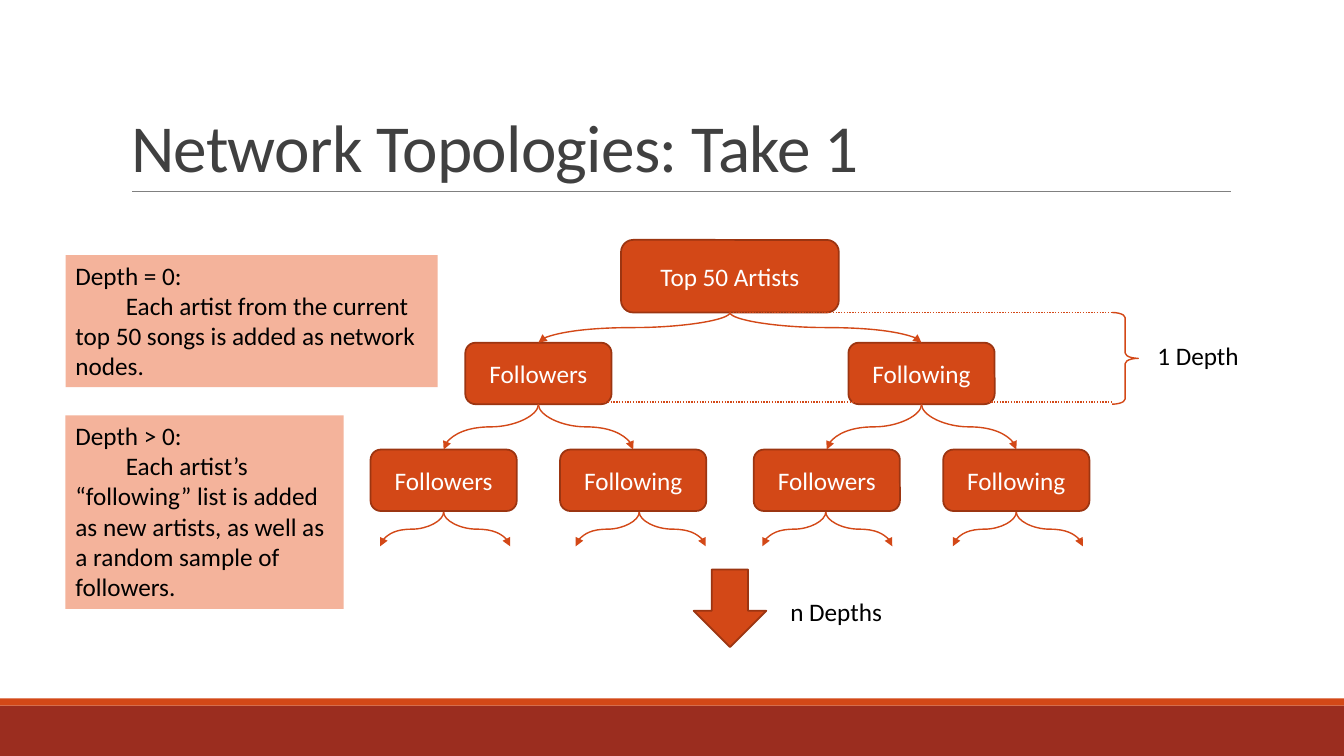
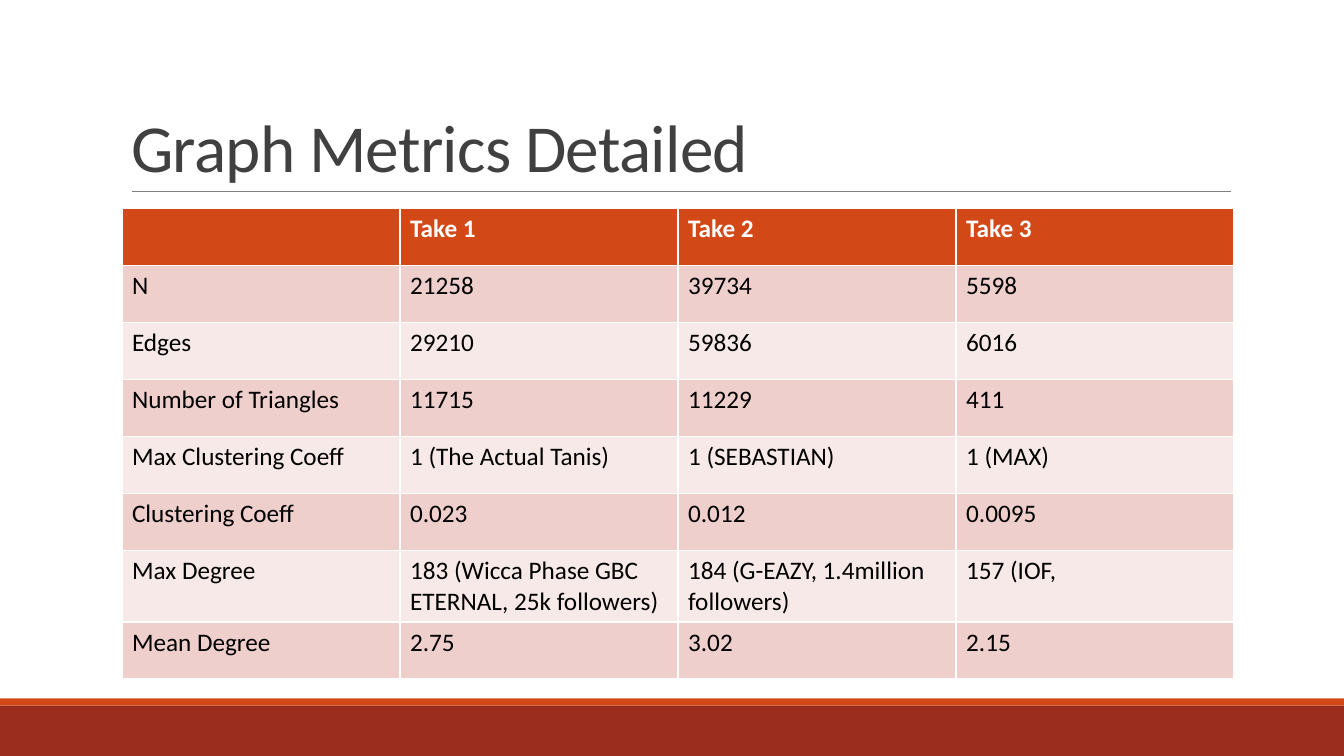
"""Build two slides on network topologies: a depth tree and a table of graph metrics."""
import pptx
import pptx.dml.color
import pptx.enum.dml
import pptx.enum.shapes
import pptx.enum.text
import pptx.oxml
import pptx.oxml.ns
import pptx.util

RGB = pptx.dml.color.RGBColor
SHAPE = pptx.enum.shapes.MSO_SHAPE
CONNECTOR = pptx.enum.shapes.MSO_CONNECTOR
ALIGN = pptx.enum.text.PP_ALIGN
ANCHOR = pptx.enum.text.MSO_ANCHOR
AUTO_SIZE = pptx.enum.text.MSO_AUTO_SIZE
DOTTED = pptx.enum.dml.MSO_LINE.ROUND_DOT
Pt = pptx.util.Pt

PX = 9144
WIDTH, HEIGHT = 1333, 750
FONT = "Calibri"

ORANGE = RGB(0xD3, 0x48, 0x17)
RUST = RGB(0x9C, 0x35, 0x11)
BRICK = RGB(0x9B, 0x2D, 0x1F)
PEACH = RGB(0xF4, 0xB3, 0x9B)
ROW_DARK = RGB(0xEF, 0xCF, 0xCC)
ROW_LIGHT = RGB(0xF7, 0xE9, 0xE8)
GRAY = RGB(0x80, 0x80, 0x80)
CHARCOAL = RGB(0x40, 0x40, 0x40)
BLACK = RGB(0, 0, 0)
WHITE = RGB(255, 255, 255)

TITLE_AREA = (120, 31, 1100, 159)
BANDS = [((0, 700, WIDTH, 50), BRICK), ((0, 693, WIDTH, 7), ORANGE)]
TITLE_RULE = (131, 190, 1221, 190)

ROOT = ("Top 50 Artists", 724, 238, 216, 72)
BRANCHES = [("Followers", -1), ("Following", 1)]
NODE_WIDTH, NODE_HEIGHT = 145, 61
LEVELS = [(340, 190), (446, 94)]
STUB_STARTS = [440, 634, 819, 1008]
STUB_TOP, STUB_BOTTOM = 508, 542
STUB_REACH = (-63, 66)

BRACE = (1103, 310, 26, 91)
DEPTH_LINES = [(724, 310, 1103, 310), (534, 399, 1103, 399)]
DOWN_ARROW = (688, 565, 72, 77)
LABELS = [("1 Depth", (1138, 333, 135, 40)), ("n Depths", (774, 587, 135, 40))]
NOTE_INDENT = 50
NOTES = [
    ((65, 253, 369, 131), "Depth = 0:",
     "Each artist from the current top 50 songs is added as network nodes."),
    ((65, 412, 276, 192), "Depth > 0:",
     "Each artist’s “following” list is added as new artists, "
     "as well as a random sample of followers."),
]

TABLE_AREA = (121, 207, 1103, 452)
METRICS = [
    ("", "Take 1", "Take 2", "Take 3"),
    ("N", "21258", "39734", "5598"),
    ("Edges", "29210", "59836", "6016"),
    ("Number of Triangles", "11715", "11229", "411"),
    ("Max Clustering Coeff", "1 (The Actual Tanis)", "1 (SEBASTIAN)", "1 (MAX)"),
    ("Clustering Coeff", "0.023", "0.012", "0.0095"),
    ("Max Degree", "183 (Wicca Phase GBC ETERNAL, 25k followers)",
     "184 (G-EAZY, 1.4million followers)", "157 (IOF,"),
    ("Mean Degree", "2.75", "3.02", "2.15"),
]


def scale(lengths):
    return [round(length * PX) for length in lengths]


def set_all(target, **values):
    for name, value in values.items():
        setattr(target, name, value)


def write(para, text, color=BLACK, size=18, bold=False):
    span = para.add_run()
    span.text = text
    set_all(span.font, name=FONT, size=Pt(size), bold=bold)
    span.font.color.rgb = color
    return span


def add_shape(page, kind, area, fill=None, line=None, weight=1.25):
    shape = page.shapes.add_shape(kind, *scale(area))
    shape.shadow.inherit = False
    if fill is None:
        shape.fill.background()
    else:
        shape.fill.solid()
        shape.fill.fore_color.rgb = fill
    if line is None:
        shape.line.fill.background()
    else:
        shape.line.color.rgb = line
        shape.line.width = Pt(weight)
    return shape


def add_line(page, ends, color=ORANGE, weight=1, dash=None, kind=CONNECTOR.STRAIGHT):
    line = page.shapes.add_connector(kind, *scale(ends))
    line.line.color.rgb = color
    set_all(line.line, width=Pt(weight), dash_style=dash)
    pptx.oxml.ns.qn("a:effectLst")
    line._element.spPr.append(line._element.makeelement(pptx.oxml.ns.qn("a:effectLst"), {}))
    return line


def add_curve(page, left, top, right, bottom):
    """Draw an arrow that leaves downwards and arrives downwards."""
    side = 1 if right > left else -1
    center_x, center_y = (left + right) / 2, (top + bottom) / 2
    half_x, half_y = abs(right - left) / 2, (bottom - top) / 2
    ends = (center_x + side * half_y, center_y - half_x,
            center_x - side * half_y, center_y + half_x)
    curve = add_line(page, ends, kind=CONNECTOR.CURVE)
    properties = curve._element.spPr
    properties.xfrm.set("rot", str((270 if side > 0 else 90) * 60000))
    head = properties.makeelement(pptx.oxml.ns.qn("a:tailEnd"), {"type": "triangle"})
    properties.get_or_add_ln().append(head)


def add_node(page, text, center, top, width=NODE_WIDTH, height=NODE_HEIGHT):
    area = (center - width / 2, top, width, height)
    box = add_shape(page, SHAPE.ROUNDED_RECTANGLE, area, ORANGE, RUST)
    box.text_frame.vertical_anchor = ANCHOR.MIDDLE
    para = box.text_frame.paragraphs[0]
    para.alignment = ALIGN.CENTER
    write(para, text, WHITE)


def add_page(deck, text):
    page = deck.slides.add_slide(deck.slide_layouts[5])
    for area, color in BANDS:
        add_shape(page, SHAPE.RECTANGLE, area, color)
    add_line(page, TITLE_RULE, GRAY, 0.5)
    title = page.shapes.title
    set_all(title, **dict(zip(("left", "top", "width", "height"), scale(TITLE_AREA))))
    set_all(title.text_frame, vertical_anchor=ANCHOR.BOTTOM, word_wrap=True,
            auto_size=AUTO_SIZE.NONE)
    para = title.text_frame.paragraphs[0]
    set_all(para, alignment=ALIGN.LEFT, line_spacing=0.85)
    span = write(para, text, CHARCOAL, 48)
    span.font._element.set("spc", "-50")
    return page


def add_tree(page):
    add_node(page, *ROOT)
    parents, parent_bottom = [ROOT[1]], ROOT[2] + ROOT[4]
    curves = []
    for top, reach in LEVELS:
        children = []
        for parent in parents:
            for text, side in BRANCHES:
                center = parent + side * reach
                add_node(page, text, center, top)
                curves.append((parent, parent_bottom, center, top))
                children.append(center)
        parents, parent_bottom = children, top + NODE_HEIGHT
    curves += [(start, STUB_TOP, start + reach, STUB_BOTTOM)
               for start in STUB_STARTS for reach in STUB_REACH]
    for curve in curves:
        add_curve(page, *curve)


def add_notes(page):
    for area, heading, body in NOTES:
        note = add_shape(page, SHAPE.RECTANGLE, area, PEACH)
        set_all(note.text_frame, vertical_anchor=ANCHOR.TOP, word_wrap=True)
        first = note.text_frame.paragraphs[0]
        second = note.text_frame.add_paragraph()
        for para, text in ((first, heading), (second, body)):
            para.alignment = ALIGN.LEFT
            write(para, text)
        second._element.get_or_add_pPr().set("indent", str(NOTE_INDENT * PX))


def build_topology(deck):
    page = add_page(deck, "Network Topologies: Take 1")
    add_tree(page)
    brace = add_shape(page, SHAPE.RIGHT_BRACE, BRACE, line=ORANGE, weight=1)
    brace.adjustments[0] = 0.2
    for ends in DEPTH_LINES:
        add_line(page, ends, dash=DOTTED)
    add_shape(page, SHAPE.DOWN_ARROW, DOWN_ARROW, ORANGE, RUST)
    for text, area in LABELS:
        label = page.shapes.add_textbox(*scale(area))
        label.text_frame.word_wrap = True
        write(label.text_frame.paragraphs[0], text)
    add_notes(page)


def build_metrics(deck):
    page = add_page(deck, "Graph Metrics Detailed")
    frame = page.shapes.add_table(len(METRICS), len(METRICS[0]), *scale(TABLE_AREA))
    for row, values in enumerate(METRICS):
        header = row == 0
        fill = ORANGE if header else (ROW_DARK if row % 2 else ROW_LIGHT)
        for column, text in enumerate(values):
            cell = frame.table.cell(row, column)
            cell.fill.solid()
            cell.fill.fore_color.rgb = fill
            if text:
                write(cell.text_frame.paragraphs[0], text,
                      WHITE if header else BLACK, bold=header)


def main():
    deck = pptx.Presentation()
    deck.slide_width, deck.slide_height = scale((WIDTH, HEIGHT))
    build_topology(deck)
    build_metrics(deck)
    deck.save("out.pptx")


if __name__ == "__main__":
    main()
